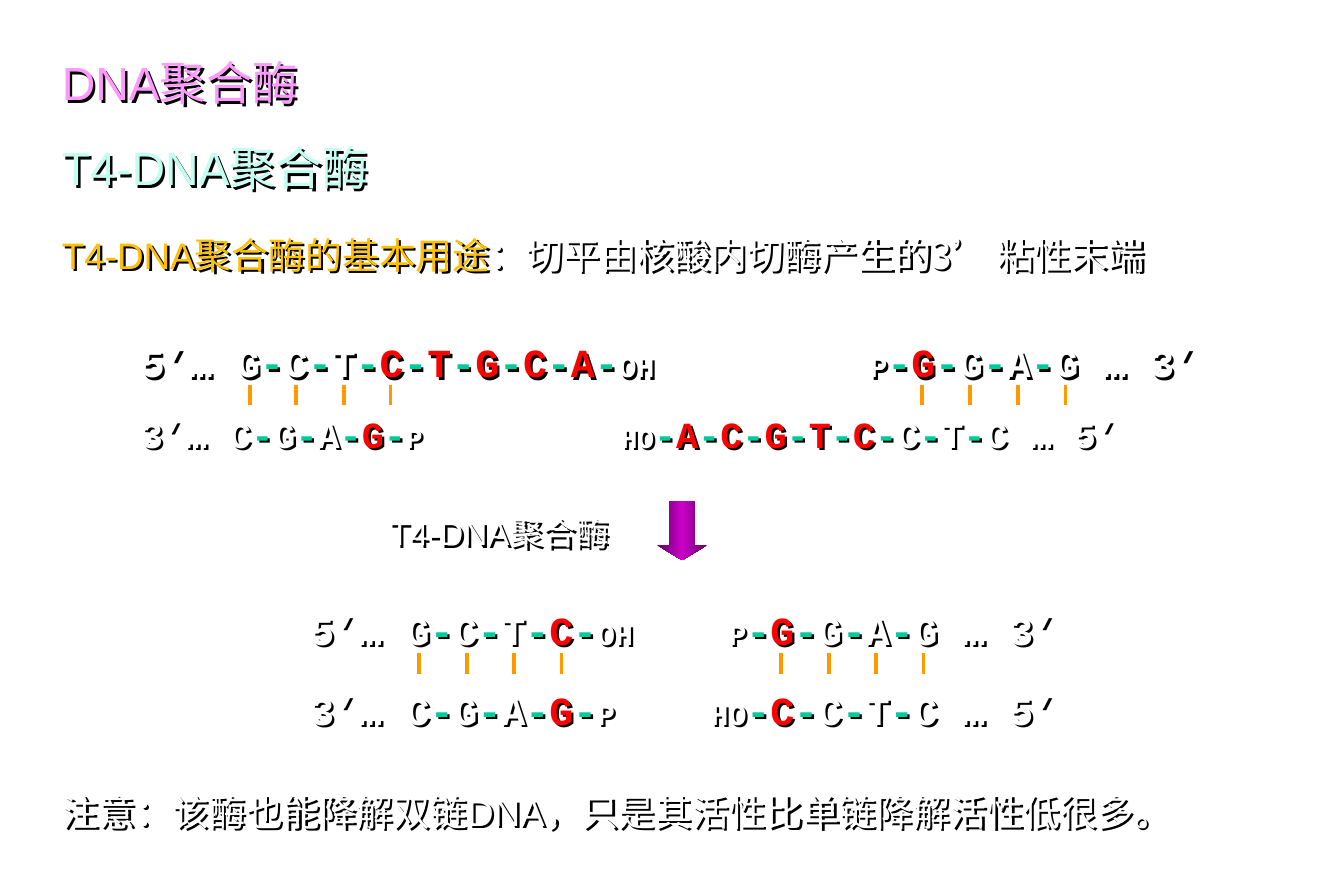
from copy import deepcopy
from itertools import groupby

from lxml.etree import SubElement
from pptx import Presentation
from pptx.dml.color import RGBColor
from pptx.enum.shapes import MSO_CONNECTOR, MSO_SHAPE
from pptx.enum.text import PP_ALIGN
from pptx.oxml.ns import qn
from pptx.util import Emu, Pt

PX = 9144  # one hundredth of an inch
LATIN, HAN, MONO = "Arial", "Noto Sans CJK SC", "Courier New"
WHITE, RED, GREEN, ORANGE = "FFFFFF", "FF0000", "00CC99", "FF9900"
GOLD, MINT, PINK, BLACK = "FFC000", "C2FFF0", "FF99FF", "000000"
DARK_PURPLE, PURPLE = "5E005E", "CC00CC"
RUNG_COUNT, RUNG_LENGTH = 4, 17
ENZYME = "T4-DNA聚合酶"


def px(value):
    return Emu(value * PX)


def color(hex_string):
    return RGBColor.from_string(hex_string)


def add_text_shadow(box):
    """Give an unfilled box the shadow that makes pale letters readable on white."""
    effects = SubElement(box._element.spPr, qn("a:effectLst"))
    shadow = SubElement(effects, qn("a:outerShdw"), blurRad="0", dist=str(Pt(2)),
                        dir="2700000", algn="tl", rotWithShape="0")
    SubElement(shadow, qn("a:srgbClr"), val=BLACK)


def add_span(para, text, size, hex_string, font=LATIN, bold=False):
    span = para.add_run()
    span.text = text
    span.font.size = Pt(size)
    span.font.bold = bold
    span.font.color.rgb = color(hex_string)
    span.font.name = font
    SubElement(span.font._element, qn("a:ea"), typeface=HAN)


def add_line_box(page, place, spacing=1.4, align=PP_ALIGN.LEFT):
    """Add a one-line text box and return its paragraph."""
    box = page.shapes.add_textbox(*map(px, place))
    add_text_shadow(box)
    box.text_frame.word_wrap = True
    para = box.text_frame.paragraphs[0]
    para.line_spacing = spacing
    para.alignment = align
    return para


def add_strand(page, place, left, right, tab, size=24, end_size=18, spacing=1.5):
    """Write two fragments of one strand, the right one starting at the tab."""
    para = add_line_box(page, place, spacing)
    tabs = SubElement(para._p.get_or_add_pPr(), qn("a:tabLst"))
    SubElement(tabs, qn("a:tab"), pos=str(px(tab)), algn="l")
    looks = {"base": (WHITE, size), "site": (RED, size), "end": (WHITE, end_size)}
    for kind, text in [*left, ("base", "\t"), *right]:
        hex_string, points = looks[kind]
        for is_bond, letters in groupby(text, key=lambda letter: letter == "-"):
            add_span(para, "".join(letters), size if is_bond else points,
                     GREEN if is_bond else hex_string, MONO, bold=True)


def add_rungs(page, left, right, top):
    """Draw the evenly spaced base-pair bonds of one fragment."""
    for index in range(RUNG_COUNT):
        x = left + round((right - left) * index / (RUNG_COUNT - 1))
        rung = page.shapes.add_connector(MSO_CONNECTOR.STRAIGHT, px(x), px(top),
                                         px(x), px(top + RUNG_LENGTH))
        rung.line.color.rgb = color(ORANGE)
        rung.line.width = Pt(2.25)
        SubElement(rung._element.spPr, qn("a:effectLst"))


def add_reaction_arrow(page, place):
    arrow = page.shapes.add_shape(MSO_SHAPE.DOWN_ARROW, *map(px, place))
    arrow.shadow.inherit = False
    arrow.adjustments[0], arrow.adjustments[1] = 0.5, 0.3
    arrow.line.fill.background()
    arrow.fill.gradient()
    arrow.fill.gradient_angle = 0
    stops = arrow._element.spPr.find(".//" + qn("a:gsLst"))
    stops.append(deepcopy(stops[-1]))
    shades = (0, DARK_PURPLE), (0.5, PURPLE), (1, DARK_PURPLE)
    for stop, (position, shade) in zip(arrow.fill.gradient_stops, shades):
        stop.position = position
        stop.color.rgb = color(shade)


def main():
    deck = Presentation()
    deck.slide_width, deck.slide_height = px(1125), px(750)
    page = deck.slides.add_slide(deck.slide_layouts[6])

    add_span(add_line_box(page, (42, 22, 400, 77)), "DNA聚合酶", 28, PINK)
    add_span(add_line_box(page, (42, 93, 308, 77)), ENZYME, 28, MINT)

    usage = add_line_box(page, (42, 175, 983, 67))
    add_span(usage, "T4-DNA聚合酶的基本用途", 22.2, GOLD)
    add_span(usage, "：", 22.2, WHITE)
    add_span(usage, "切平由核酸内切酶产生的3", 22.2, WHITE, HAN)
    add_span(usage, "’ ", 22.2, WHITE, bold=True)
    add_span(usage, "粘性末端", 22.2, WHITE, HAN)

    upper_right = [("end", "P"), ("site", "-G-"), ("base", "G-A-G … 3’")]
    lower_left = [("base", "3’… C-G-A-"), ("site", "G-"), ("end", "P")]
    add_strand(page, (108, 258, 942, 77),
               [("base", "5’… G-C-T-"), ("site", "C-T-G-C-A-"), ("end", "OH")],
               upper_right, tab=610)
    add_strand(page, (108, 325, 942, 77), lower_left,
               [("end", "HO"), ("site", "-A-C-G-T-C-"), ("base", "C-T-C … 5’")],
               tab=402, size=22.2, end_size=16.6, spacing=1.4)
    add_strand(page, (250, 482, 667, 77),
               [("base", "5’… G-C-T-"), ("site", "C-"), ("end", "OH")],
               upper_right, tab=350)
    add_strand(page, (250, 549, 667, 77), lower_left,
               [("end", "HO"), ("site", "-C-"), ("base", "C-T-C … 5’")], tab=335)
    for left, right, top in ((209, 327, 322), (772, 892, 322),
                             (351, 470, 547), (654, 773, 547)):
        add_rungs(page, left, right, top)

    add_reaction_arrow(page, (550, 419, 42, 50))
    label = add_line_box(page, (303, 411, 217, 58), align=PP_ALIGN.RIGHT)
    add_span(label, ENZYME, 20, WHITE)

    note = add_line_box(page, (42, 641, 1033, 67))
    add_span(note, "注意：该酶也能降解双链", 22.2, WHITE, HAN)
    add_span(note, "DNA", 22.2, WHITE)
    add_span(note, "，只是其活性比单链降解活性低很多。", 22.2, WHITE, HAN)

    deck.save("out.pptx")


if __name__ == "__main__":
    main()
